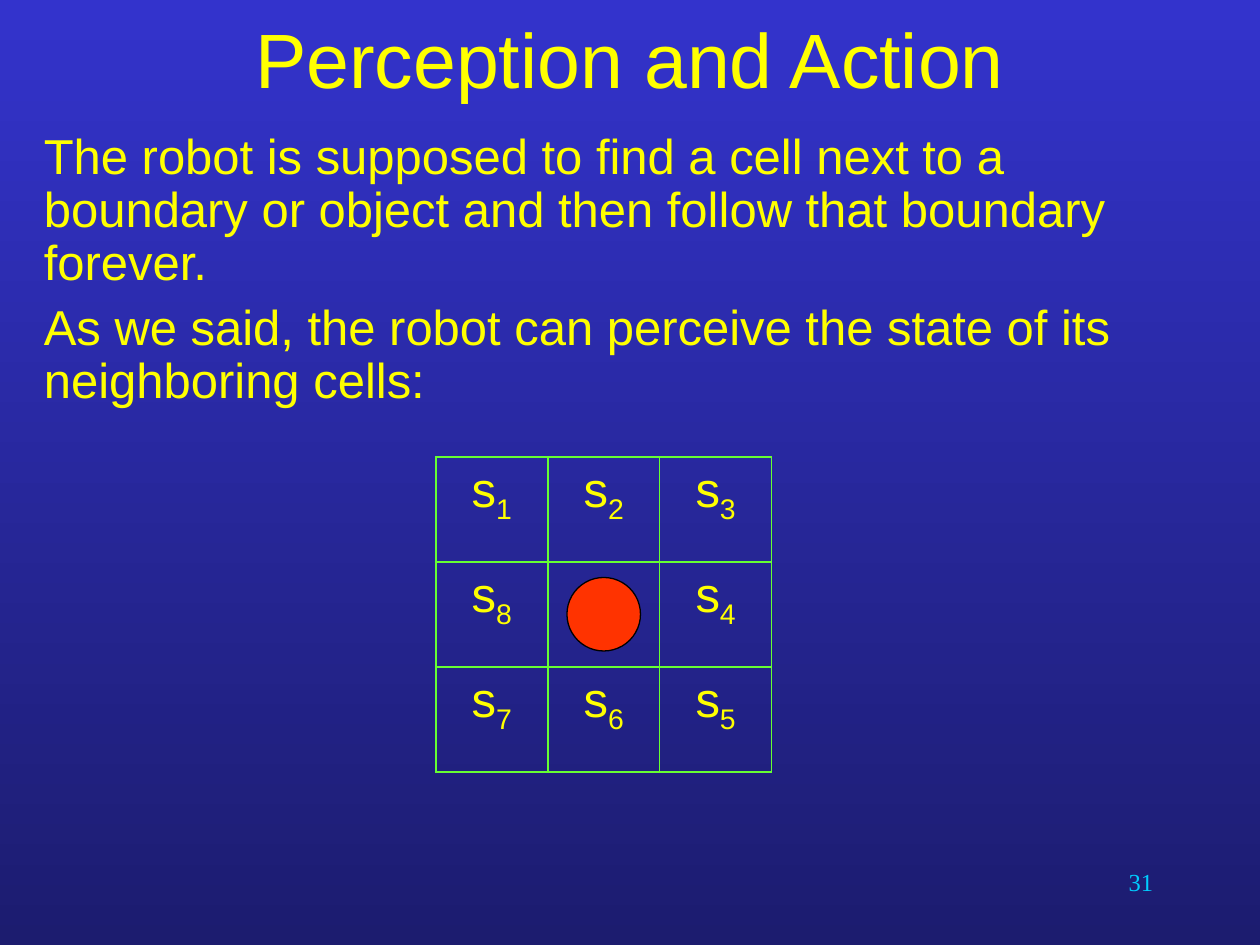
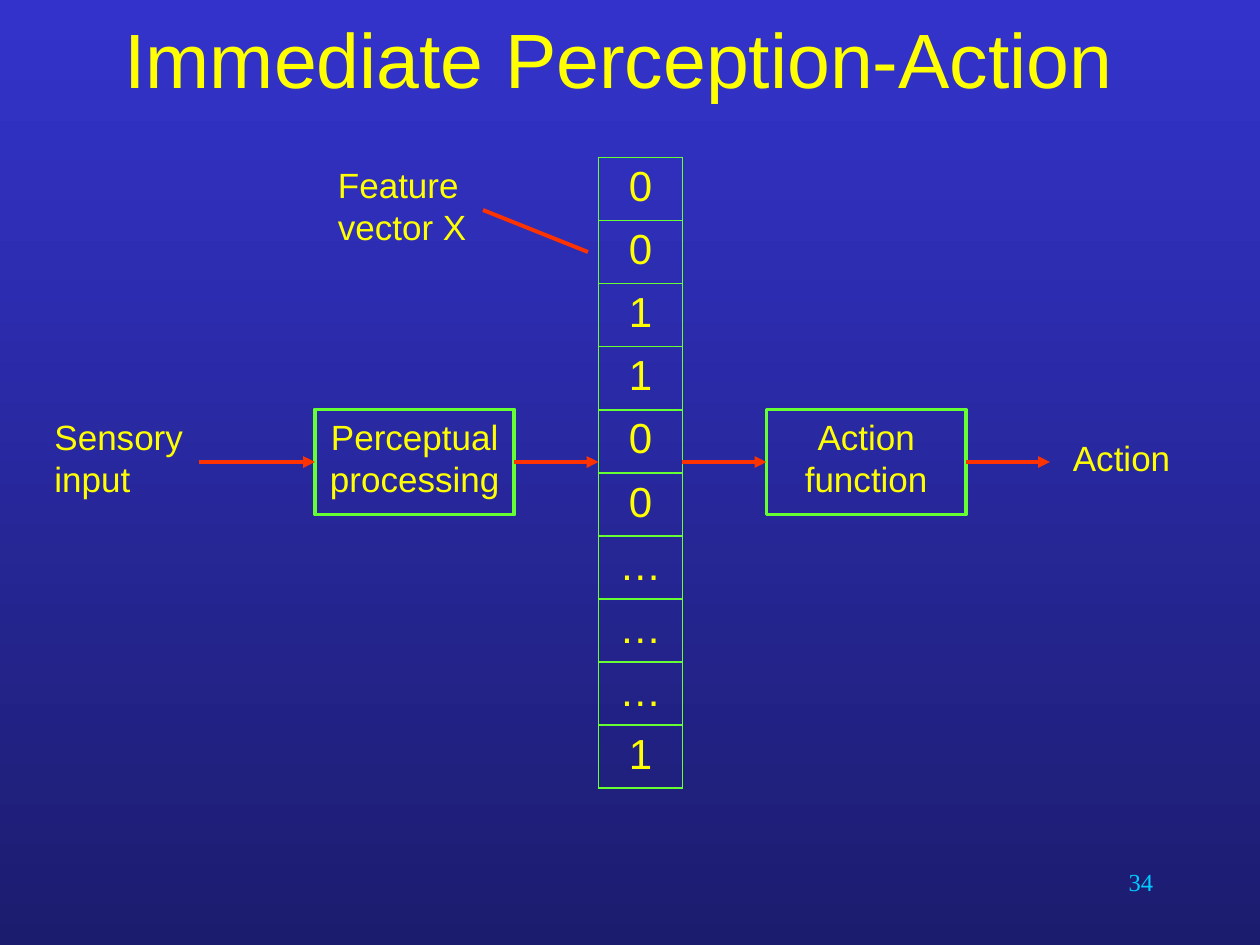
from pptx import Presentation
from pptx.dml.color import RGBColor
from pptx.enum.shapes import MSO_CONNECTOR, MSO_SHAPE
from pptx.enum.text import MSO_ANCHOR, PP_ALIGN
from pptx.oxml.ns import qn
from pptx.util import Inches, Pt
from lxml.etree import SubElement

COLS, ROWS = 120, 90
TOP, BOTTOM = "3333CC", "1C1C6F"
YELLOW, GREEN, RED, CYAN, BLACK = "FFFF00", "66FF33", "FF3300", "00CCFF", "000000"
LEFT_SIDE, RIGHT_SIDE = 1, 3


def grid(*units):
    return [Inches(n / 12) for n in units]


def rgb(value):
    return RGBColor.from_string(value)


def style(p, size, color=YELLOW, font="Arial", align=PP_ALIGN.LEFT):
    p.alignment = align
    p.font.size, p.font.name = Pt(size), font
    p.font.color.rgb = rgb(color)


def add_text(slide, box, paragraphs, size, anchor=MSO_ANCHOR.TOP, spacing=None, before=0, **look):
    sp = slide.shapes.add_textbox(*grid(*box))
    tf = sp.text_frame
    tf.word_wrap, tf.vertical_anchor = True, anchor
    for i, text in enumerate(paragraphs):
        p = tf.add_paragraph() if i else tf.paragraphs[0]
        p.text = text
        style(p, size, **look)
        if spacing:
            p.line_spacing = spacing
        if i:
            p.space_before = Pt(before)
    return sp


def add_line(slide, start, end, arrow=True, begin=None, finish=None):
    line = slide.shapes.add_connector(MSO_CONNECTOR.STRAIGHT, *grid(*start, *end))
    line.line.color.rgb, line.line.width = rgb(RED), Pt(2.25)
    if begin:
        line.begin_connect(begin, RIGHT_SIDE)
    if finish:
        line.end_connect(finish, LEFT_SIDE)
    if arrow:
        SubElement(line.line._get_or_add_ln(), qn("a:tailEnd"), type="triangle")
    SubElement(line._element.spPr, qn("a:effectLst"))


def add_borders(cell):
    tcPr = cell._tc.get_or_add_tcPr()
    for side in ("lnL", "lnR", "lnT", "lnB"):
        ln = SubElement(tcPr, qn(f"a:{side}"), w=str(Pt(1.08)))
        fill = SubElement(ln, qn("a:solidFill"))
        SubElement(fill, qn("a:srgbClr"), val=GREEN)


def add_cells(slide, box, rows, size):
    x, y, w, h = box
    table = slide.shapes.add_table(len(rows), len(rows[0]), *grid(x, y, w, h)).table
    table.first_row = table.horz_banding = False
    for col in table.columns:
        col.width = Inches(w / len(rows[0]) / 12)
    for r, row in enumerate(rows):
        table.rows[r].height = Inches(h / len(rows) / 12)
        for c, (text, subscript) in enumerate(row):
            cell = table.cell(r, c)
            add_borders(cell)
            cell.fill.background()
            p = cell.text_frame.paragraphs[0]
            style(p, size, align=PP_ALIGN.CENTER)
            if text:
                p.add_run().text = text
            if subscript:
                run = p.add_run()
                run.text = subscript
                run.font._element.set("baseline", "-25000")


def add_slide(prs, title, number):
    slide = prs.slides.add_slide(prs.slide_layouts[6])
    add_text(slide, (9, 0, COLS - 18, 11), [title], 44, MSO_ANCHOR.MIDDLE, align=PP_ALIGN.CENTER)
    add_text(slide, (86, 82, 25, 6), [number], 14,
             color=CYAN, font="Times New Roman", align=PP_ALIGN.RIGHT)
    return slide


def add_neighborhood(slide, box):
    x, y, w, h = box
    names = ["123", "8 4", "765"]
    rows = [[("", "") if n == " " else ("s", n) for n in row] for row in names]
    add_cells(slide, box, rows, 28)
    size = 7
    robot = slide.shapes.add_shape(
        MSO_SHAPE.OVAL, *grid(x + (w - size) / 2, y + (h - size) / 2, size, size))
    robot.shadow.inherit = False
    robot.fill.solid()
    robot.fill.fore_color.rgb = rgb(RED)
    robot.line.color.rgb, robot.line.width = rgb(BLACK), Pt(0.75)


def add_process(slide, box, text):
    sp = slide.shapes.add_shape(MSO_SHAPE.RECTANGLE, *grid(*box))
    sp.shadow.inherit = False
    sp.fill.background()
    sp.line.color.rgb, sp.line.width = rgb(GREEN), Pt(2.25)
    tf = sp.text_frame
    tf.word_wrap, tf.vertical_anchor = True, MSO_ANCHOR.TOP
    tf.text = text
    style(tf.paragraphs[0], 20, align=PP_ALIGN.CENTER)
    return sp


def add_feature_vector(slide, box, values):
    x, y, w, h = box
    add_cells(slide, box, [[(v, "")] for v in values], 24)
    add_text(slide, (x - 26, y, 16, 10), ["Feature vector X"], 20)
    add_line(slide, (x - 11, y + 5), (x - 1, y + 9), arrow=False)


def add_flow(slide, box):
    x, y, w, h = box
    label_w, process_w, vector_w, gap = 15, 19, 8, 8
    middle = y + h / 2
    perception_x = x + label_w + 11
    vector_x = perception_x + process_w + gap
    function_x = vector_x + vector_w + gap
    output_x = function_x + process_w + gap

    sensory = add_text(slide, (x, y, label_w, h), ["Sensory input"], 20)
    perception = add_process(slide, (perception_x, y, process_w, h), "Perceptual processing")
    add_feature_vector(slide, (vector_x, y - 24, vector_w, 60), "001100………1")
    function = add_process(slide, (function_x, y, process_w, h), "Action function")
    add_text(slide, (output_x + 1, y + 2, label_w, h), ["Action"], 20)

    for start, end, begin, finish in (
        (x + label_w, perception_x, sensory, perception),
        (vector_x - gap, vector_x, perception, None),
        (function_x - gap, function_x, None, function),
        (output_x - gap, output_x, function, None),
    ):
        add_line(slide, (start, middle), (end, middle), begin=begin, finish=finish)


def set_background(prs):
    fill = prs.slide_master.background.fill
    fill.gradient()
    fill.gradient_angle = 270
    for stop, color, position in zip(fill.gradient_stops, (TOP, BOTTOM), (0, 1)):
        stop.color.rgb, stop.position = rgb(color), position


def main():
    prs = Presentation()
    prs.slide_width, prs.slide_height = grid(COLS, ROWS)
    set_background(prs)

    slide = add_slide(prs, "Perception and Action", "31")
    add_text(slide, (3, 12, COLS - 6, 30), [
        "The robot is supposed to find a cell next to a boundary or object "
        "and then follow that boundary forever.",
        "As we said, the robot can perceive the state of its neighboring cells:",
    ], 28, spacing=0.9, before=7)
    add_neighborhood(slide, (41.5, 43.5, 32, 30))

    slide = add_slide(prs, "Immediate Perception-Action ", "34")
    add_flow(slide, (4, 39, 105, 10))

    prs.save("out.pptx")


if __name__ == "__main__":
    main()
